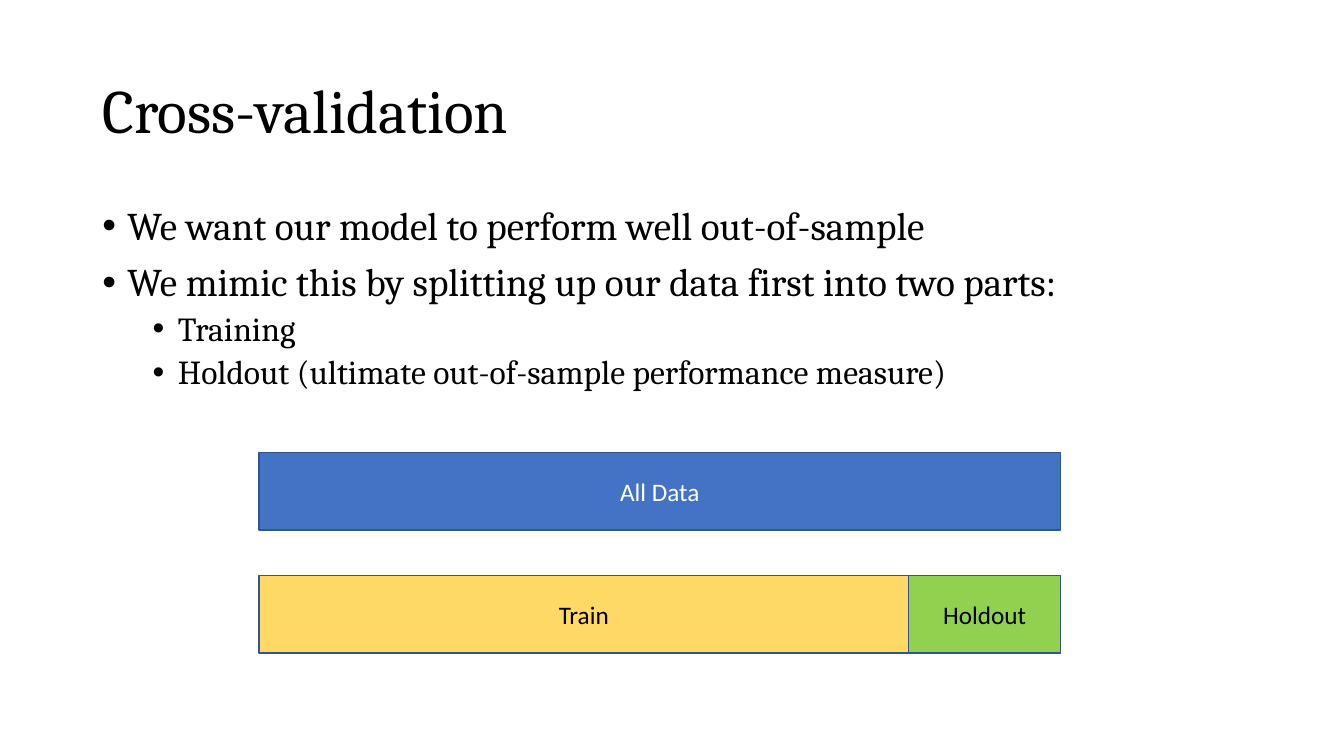
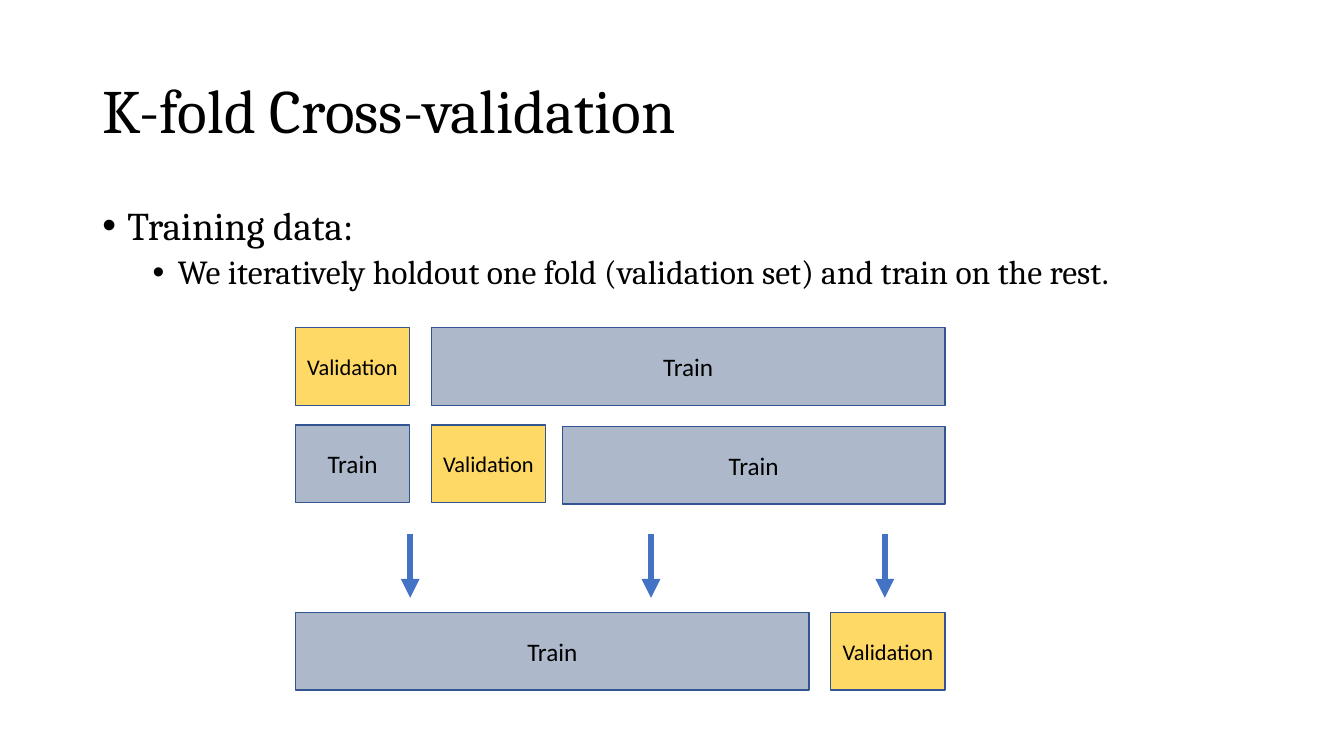
import pptx
import pptx.dml.color
import pptx.enum.shapes
import pptx.enum.text
import pptx.oxml.ns
import pptx.util
from lxml import etree

Pt = pptx.util.Pt
ALIGN = pptx.enum.text.PP_ALIGN
ANCHOR = pptx.enum.text.MSO_ANCHOR

BLACK, WHITE = "000000", "FFFFFF"
BLUE, OUTLINE = "4472C4", "325491"
YELLOW, GREEN, GREY = "FFD966", "92D050", "ADB9CA"


def color(code):
    return pptx.dml.color.RGBColor.from_string(code)


def add_xml(parent, tag, **attributes):
    return etree.SubElement(parent, pptx.oxml.ns.qn(tag), attributes)


def write(para, text, size=18, font="Calibri", fill=BLACK, align=ALIGN.LEFT,
          spacing=1.0, before=0):
    para.alignment = align
    para.line_spacing = spacing
    para.space_before = Pt(before)
    span = para.add_run()
    span.text = text
    span.font.size = Pt(size)
    span.font.name = font
    span.font.color.rgb = color(fill)


class Deck:
    """Holds the shared style and the slide being built."""

    heading_font = "Cambria"
    margin, text_width = 66, 828
    bar_height = 55.5
    bullet_sizes = (28, 24)
    bullet_gaps = (10, 5)
    bullet_indents = (18, 54)

    def __init__(self):
        self.deck = pptx.Presentation()
        self.deck.slide_width, self.deck.slide_height = Pt(960), Pt(540)
        self.page = None

    def text_frame(self, top, height, anchor):
        box = self.page.shapes.add_textbox(
            Pt(self.margin), Pt(top), Pt(self.text_width), Pt(height))
        frame = box.text_frame
        frame.word_wrap = True
        frame.vertical_anchor = anchor
        return frame

    def start_page(self, title):
        self.page = self.deck.slides.add_slide(self.deck.slide_layouts[6])
        frame = self.text_frame(28.75, 104.4, ANCHOR.MIDDLE)
        write(frame.paragraphs[0], title, size=44, font=self.heading_font, spacing=0.9)

    def bullets(self, items):
        frame = self.text_frame(144, 342.7, ANCHOR.TOP)
        for index, (level, text) in enumerate(items):
            para = frame.add_paragraph() if index else frame.paragraphs[0]
            para.level = level
            properties = para._p.get_or_add_pPr()
            properties.set("marL", str(Pt(self.bullet_indents[level])))
            properties.set("indent", str(-Pt(18)))
            add_xml(properties, "a:buFont", typeface="Arial")
            add_xml(properties, "a:buChar", char="•")
            write(para, text, size=self.bullet_sizes[level], font=self.heading_font,
                  spacing=0.9, before=self.bullet_gaps[level] if index else 0)

    def bar(self, text, left, top, width, fill, size=18, text_fill=BLACK):
        box = self.page.shapes.add_shape(
            pptx.enum.shapes.MSO_SHAPE.RECTANGLE,
            Pt(left), Pt(top), Pt(width), Pt(self.bar_height))
        box.shadow.inherit = False
        box.fill.solid()
        box.fill.fore_color.rgb = color(fill)
        box.line.color.rgb = color(OUTLINE)
        box.line.width = Pt(1)
        box.text_frame.word_wrap = True
        box.text_frame.vertical_anchor = ANCHOR.MIDDLE
        write(box.text_frame.paragraphs[0], text, size=size, fill=text_fill,
              align=ALIGN.CENTER)

    def train(self, left, top, width):
        self.bar("Train", left, top, width, GREY)

    def validation(self, left, top, width):
        self.bar("Validation", left, top, width, YELLOW, size=16)

    def down_arrow(self, x, top, length):
        arrow = self.page.shapes.add_connector(
            pptx.enum.shapes.MSO_CONNECTOR.STRAIGHT,
            Pt(x), Pt(top), Pt(x), Pt(top + length))
        arrow.line.color.rgb = color(BLUE)
        arrow.line.width = Pt(4.5)
        add_xml(arrow.line._get_or_add_ln(), "a:tailEnd", type="triangle")
        add_xml(arrow._element.spPr, "a:effectLst")


def build_split(deck):
    deck.start_page("Cross-validation")
    deck.bullets([
        (0, "We want our model to perform well out-of-sample"),
        (0, "We mimic this by splitting up our data first into two parts:"),
        (1, "Training"),
        (1, "Holdout (ultimate out-of-sample performance measure)"),
    ])
    left, total, train = 185, 572.6, 464
    deck.bar("All Data", left, 323.2, total, BLUE, text_fill=WHITE)
    deck.bar("Train", left, 411, train, YELLOW)
    deck.bar("Holdout", left + train, 411, total - train, GREEN)


def build_folds(deck):
    deck.start_page("K-fold Cross-validation")
    deck.bullets([
        (0, "Training data:"),
        (1, "We iteratively holdout one fold (validation set) and train on the rest."),
    ])
    left, right, fold, rest = 211, 675, 81.6, 367
    second, third = right - rest, 401.6
    first_row, second_row, last_row = 234, 303.5, 437.5

    deck.validation(left, first_row, fold)
    deck.train(second, first_row, rest)

    deck.train(left, second_row, fold)
    deck.validation(second, second_row, fold)
    deck.train(third, second_row + 1, right - third)

    for x in (293, 465, 632):
        deck.down_arrow(x, 381.5, 45.5)

    deck.train(left, last_row, rest)
    deck.validation(right - fold, last_row, fold)


def main():
    deck = Deck()
    build_split(deck)
    build_folds(deck)
    deck.deck.save("out.pptx")


if __name__ == "__main__":
    main()
